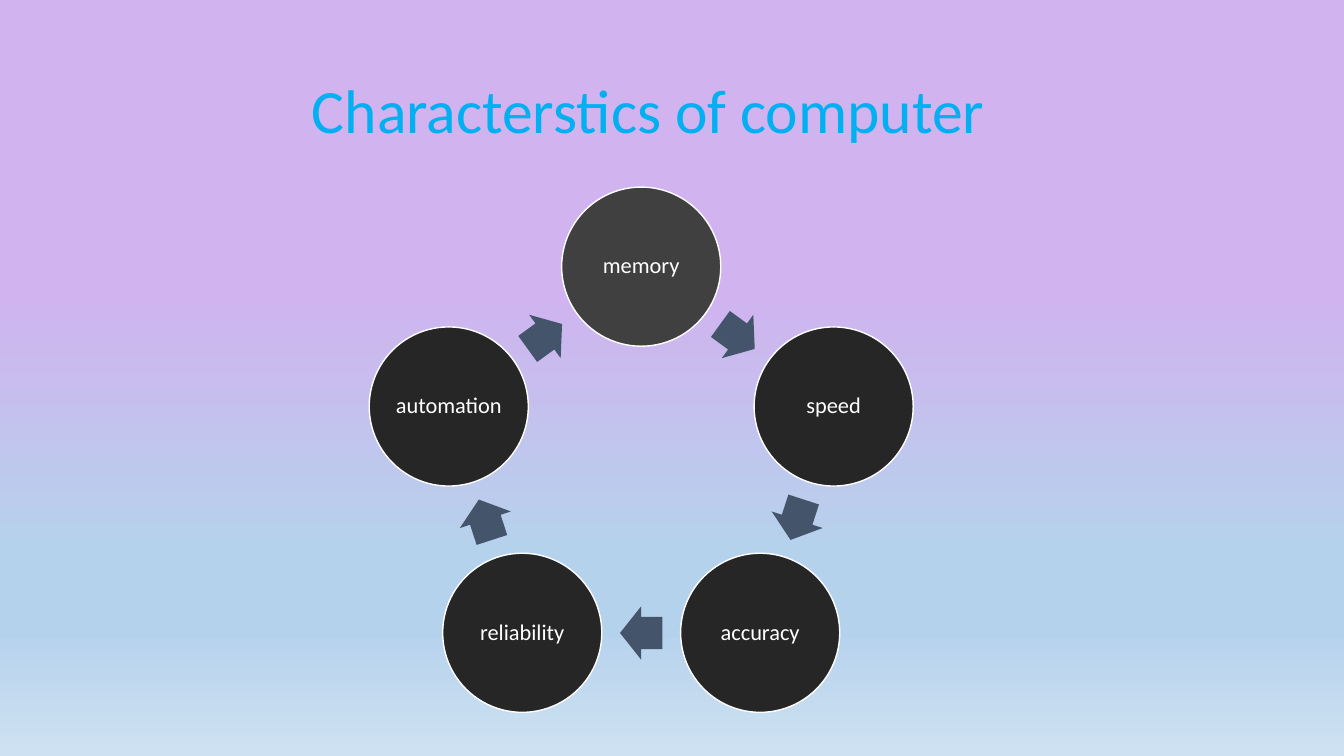
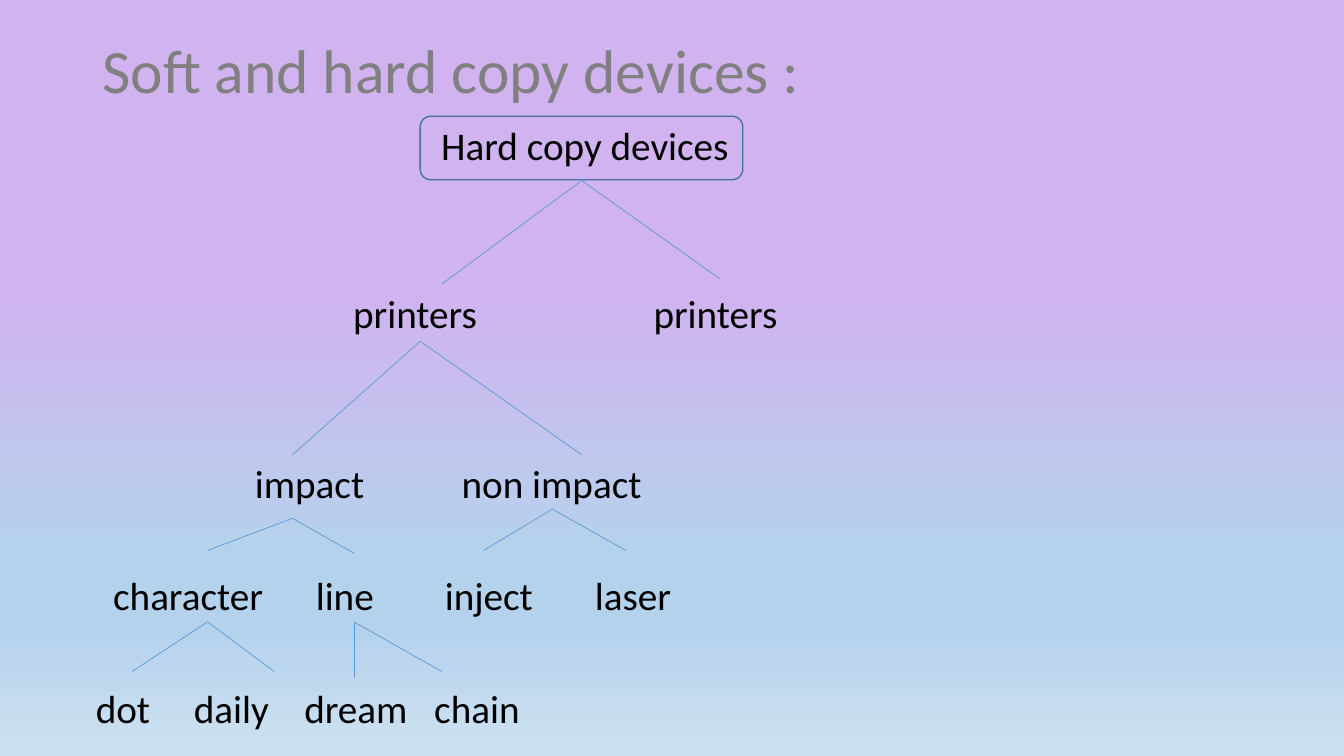
from math import cos, radians, sin

from lxml.etree import SubElement
from pptx import Presentation
from pptx.dml.color import RGBColor
from pptx.enum.shapes import MSO_CONNECTOR, MSO_SHAPE
from pptx.enum.text import MSO_ANCHOR, MSO_AUTO_SIZE, PP_ALIGN
from pptx.oxml.ns import qn
from pptx.util import Cm, Pt

# Shared style
FONT = "Calibri"
BLACK = RGBColor(0x00, 0x00, 0x00)
WHITE = RGBColor(0xFF, 0xFF, 0xFF)
CYAN = RGBColor(0x00, 0xB0, 0xF0)
GREY = RGBColor(0x80, 0x80, 0x80)
CHARCOAL = RGBColor(0x40, 0x40, 0x40)
NEAR_BLACK = RGBColor(0x26, 0x26, 0x26)
SLATE = RGBColor(0x44, 0x54, 0x6A)
BLUE = RGBColor(0x5B, 0x9B, 0xD5)
DARK_BLUE = RGBColor(0x43, 0x73, 0x9E)
GRADIENT = [(38, RGBColor(0xD1, 0xB3, 0xEF)), (74, RGBColor(0xB5, 0xD2, 0xEC)),
            (83, RGBColor(0xB5, 0xD2, 0xEC)), (100, RGBColor(0xCE, 0xE1, 0xF2))]

# Slide 1: a ring of circles, clockwise from the top (cm)
TRAITS = ["memory", "speed", "accuracy", "reliability", "automation"]
RING_X, RING_Y, RING_R, ARROW_R = 16.16, 11.82, 5.1, 4.13
CIRCLE, ARROW_W, ARROW_H = 4.01, 1.07, 1.35

# Slide 2: tree levels as (row, [(text, centre x in cm)])
ROOT, ROOT_BOX = "Hard copy devices", (10.59, 2.93, 8.13, 1.6)
LEVELS = [
    (3, [("printers", 10.46), ("printers", 18.03)]),
    (6, [("impact", 7.8), ("non impact", 13.9)]),
    (8, [("character", 4.74), ("line", 8.69), ("inject", 12.32), ("laser", 15.95)]),
    (10, [("dot", 3.1), ("daily", 5.83), ("dream", 8.97), ("chain", 12.02)]),
]
ROW_TOP, ROW_PITCH, ROW_H, CHAR_W = 3.17, 1.42, 1.08, 0.5
# Branches: start point and its two end points (cm)
FORKS = [
    ((14.66, 4.55), (11.13, 7.16), (18.16, 7.04)),
    ((10.59, 8.6), (7.37, 11.46), (14.66, 11.46)),
    ((7.37, 13.06), (5.23, 13.87), (8.92, 13.94)),
    ((13.92, 12.83), (12.19, 13.87), (15.77, 13.87)),
    ((5.23, 15.67), (3.33, 16.92), (6.91, 16.92)),
    ((8.92, 15.67), (8.92, 17.09), (11.13, 16.92)),
]


def write(sp, text, size, color, align=PP_ALIGN.CENTER, wrap=False, left=0, right=0):
    tf = sp.text_frame
    tf.word_wrap, tf.auto_size = wrap, MSO_AUTO_SIZE.NONE
    tf.vertical_anchor = MSO_ANCHOR.MIDDLE
    tf.margin_left, tf.margin_right = Cm(left), Cm(right)
    tf.margin_top = tf.margin_bottom = 0
    p = tf.paragraphs[0]
    p.alignment, p.line_spacing = align, 0.9
    r = p.add_run()
    r.text = text
    r.font.name, r.font.size, r.font.color.rgb = FONT, Pt(size), color


def set_background(master):
    fill = master.background.fill
    fill.gradient()
    fill.gradient_angle = 270
    stops = next(master.element.iter(qn("a:gsLst")))
    for gs in list(stops):
        stops.remove(gs)
    for pos, color in GRADIENT:
        gs = SubElement(stops, qn("a:gs"), pos=str(pos * 1000))
        SubElement(gs, qn("a:srgbClr"), val=str(color))


def new_slide(prs, title, color, top, indent=0.25):
    s = prs.slides.add_slide(prs.slide_layouts.get_by_name("Title Only"))
    sp = s.shapes.title
    sp.left, sp.top, sp.width, sp.height = map(Cm, (2.33, top, 29.21, 3.68))
    write(sp, title, 44, color, align=PP_ALIGN.LEFT, wrap=True, left=indent, right=0.25)
    return s


def add_shape(s, kind, left, top, width, height, fill=None, line=None):
    sp = s.shapes.add_shape(kind, *map(Cm, (left, top, width, height)))
    sp.shadow.inherit = False
    for part, color in ((sp.fill, fill), (sp.line.fill, line)):
        if color is None:
            part.background()
        else:
            part.solid()
            part.fore_color.rgb = color
    if line is not None:
        sp.line.width = Pt(1)
    return sp


def on_ring(radius, angle, width, height):
    a = radians(angle)
    return (RING_X + radius * sin(a) - width / 2,
            RING_Y - radius * cos(a) - height / 2, width, height)


def build_cycle(prs):
    s = new_slide(prs, "Characterstics of computer", CYAN, 1.02, indent=5.53)
    step = 360 / len(TRAITS)
    for i, trait in enumerate(TRAITS):
        sp = add_shape(s, MSO_SHAPE.OVAL, *on_ring(RING_R, i * step, CIRCLE, CIRCLE),
                       fill=NEAR_BLACK if i else CHARCOAL, line=WHITE)
        write(sp, trait, 16, WHITE)
        # Arrow to the next circle
        angle = (i + 0.5) * step
        arrow = add_shape(s, MSO_SHAPE.RIGHT_ARROW,
                          *on_ring(ARROW_R, angle, ARROW_W, ARROW_H), fill=SLATE)
        arrow.adjustments[0], arrow.adjustments[1] = 0.6, 0.5
        arrow.rotation = angle


def build_tree(prs):
    s = new_slide(prs, "Soft and hard copy devices :", GREY, 0.02)
    # Root
    root = add_shape(s, MSO_SHAPE.ROUNDED_RECTANGLE, *ROOT_BOX, line=DARK_BLUE)
    write(root, ROOT, 28, BLACK, left=0.17)
    # Nodes, each centred on its x
    for row, nodes in LEVELS:
        for text, x in nodes:
            width = CHAR_W * len(text)
            top = ROW_TOP + row * ROW_PITCH
            node = s.shapes.add_textbox(*map(Cm, (x - width / 2, top, width, ROW_H)))
            write(node, text, 28, BLACK)
    # Branches
    for start, *ends in FORKS:
        for end in ends:
            c = s.shapes.add_connector(MSO_CONNECTOR.STRAIGHT, *map(Cm, start + end))
            c.line.color.rgb, c.line.width = BLUE, Pt(0.5)
            SubElement(c._element.spPr, qn("a:effectLst"))


def main():
    prs = Presentation()
    prs.slide_width, prs.slide_height = Cm(33.87), Cm(19.05)
    set_background(prs.slide_master)
    build_cycle(prs)
    build_tree(prs)
    prs.save("out.pptx")


if __name__ == "__main__":
    main()
